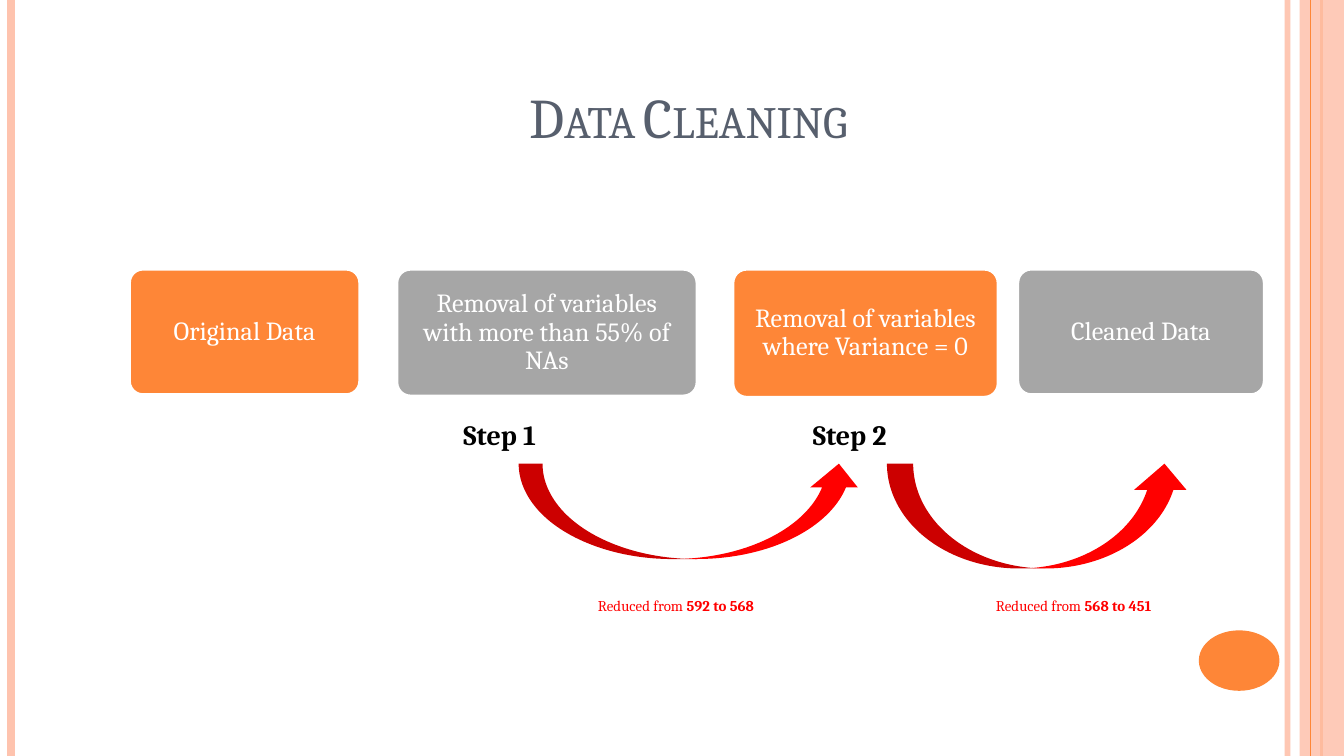
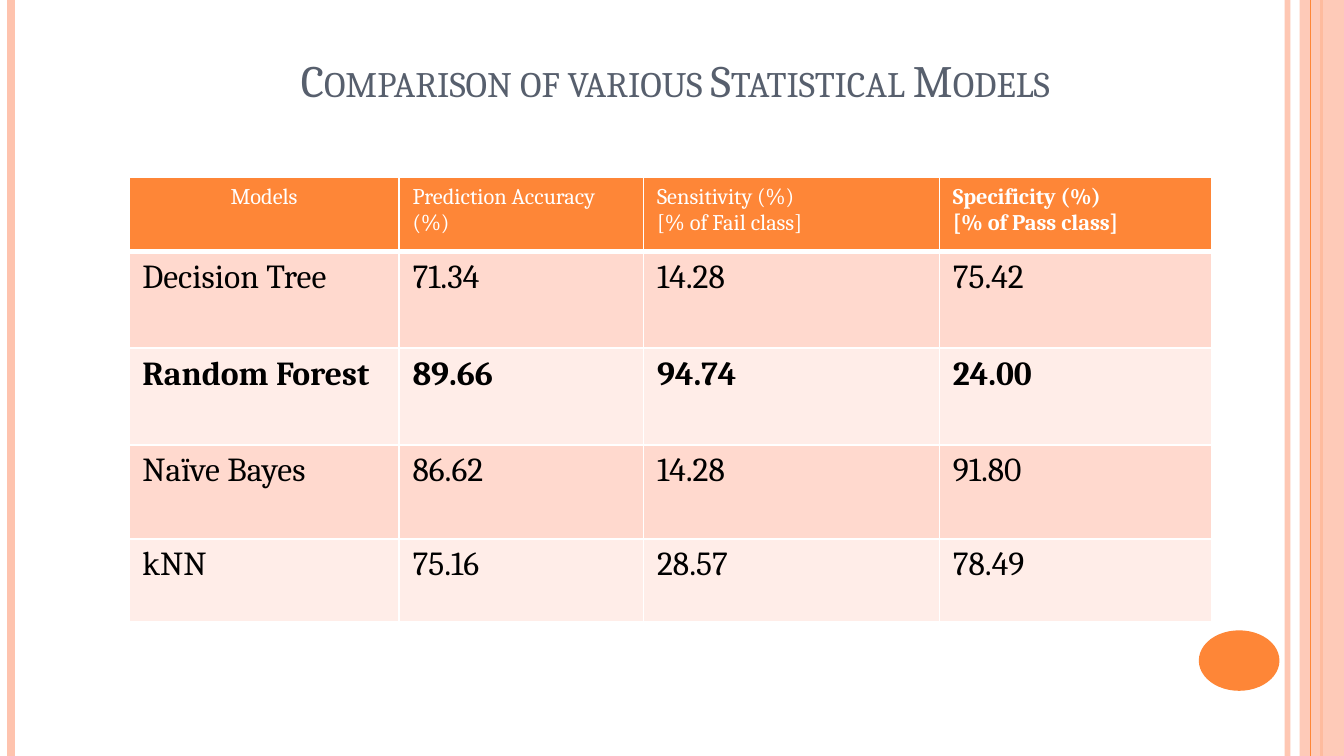
import pptx
import pptx.dml.color
import pptx.enum.shapes
import pptx.enum.text
import pptx.oxml
import pptx.oxml.ns
import pptx.util
from pptx.util import Inches

ORANGE, PEACH, GREY, SLATE = "FE8637", "FEC3AE", "A6A6A6", "575F6D"
WHITE, BLACK, RED = "FFFFFF", "000000", "FF0000"
ROW_FILLS = ("FFD9CE", "FFEDE8")
FONT = "Cambria"
WIDTH, HEIGHT = 10, 5.625
SHAPE = pptx.enum.shapes.MSO_SHAPE
ALIGN = pptx.enum.text.PP_ALIGN
ANCHOR = pptx.enum.text.MSO_ANCHOR


def rgb(value):
    return pptx.dml.color.RGBColor.from_string(value)


def element(tag, **attributes):
    node = pptx.oxml.parse_xml(f"<a:{tag} {pptx.oxml.ns.nsdecls('a')}/>")
    for name, value in attributes.items():
        node.set(name, str(value))
    return node


def set_opacity(holder, percent):
    color = next(holder.iter(pptx.oxml.ns.qn("a:srgbClr")))
    color.append(element("alpha", val=percent * 1000))


def write(frame, text, size=12, color=BLACK, bold=False, align=ALIGN.LEFT,
          spacing=None, small_caps=False):
    """Fill a frame; each line is a string or a list of (text, changes) spans."""
    frame.word_wrap = True
    lines = text if isinstance(text, list) else [text]
    for index, line in enumerate(lines):
        para = frame.paragraphs[0] if index == 0 else frame.add_paragraph()
        para.alignment = align
        if spacing:
            para.line_spacing = spacing
        for words, changes in ([(line, {})] if isinstance(line, str) else line):
            span = para.add_run()
            span.text = words
            span.font.name = FONT
            span.font.size = pptx.util.Pt(changes.get("size", size))
            span.font.bold = changes.get("bold", bold)
            span.font.color.rgb = rgb(color)
            if small_caps:
                span.font._element.set("cap", "small")


def add_text(page, box, text, anchor=ANCHOR.TOP, **style):
    frame = page.shapes.add_textbox(*map(Inches, box)).text_frame
    frame.vertical_anchor = anchor
    write(frame, text, **style)


def add_shape(page, kind, box, fill, outline=None):
    shape = page.shapes.add_shape(kind, *map(Inches, box))
    shape.shadow.inherit = False
    shape.fill.solid()
    shape.fill.fore_color.rgb = rgb(fill)
    if outline:
        shape.line.color.rgb = rgb(outline)
        shape.line.width = pptx.util.Pt(2)
    else:
        shape.line.fill.background()
    return shape


def add_rule(page, x, color, width, opacity=100):
    rule = page.shapes.add_connector(
        pptx.enum.shapes.MSO_CONNECTOR.STRAIGHT,
        Inches(x), 0, Inches(x), Inches(HEIGHT))
    rule.line.color.rgb = rgb(color)
    rule.line.width = pptx.util.Pt(width)
    properties = rule._element.spPr
    if opacity < 100:
        set_opacity(properties, opacity)
    properties.append(element("effectLst"))


def add_page(deck, title, title_box, title_size):
    """Start a page with the shared edge bands, page dot and title."""
    page = deck.slides.add_slide(deck.slide_layouts[6])
    add_rule(page, 9.58, PEACH, 3, opacity=93)
    add_rule(page, 0.08, PEACH, 4.5)
    add_rule(page, 9.83, ORANGE, 1.5)
    band = add_shape(page, SHAPE.RECTANGLE, (9.67, 0, WIDTH - 9.67, HEIGHT), PEACH)
    set_opacity(band._element.spPr, 87)
    add_rule(page, 9.75, ORANGE, 0.75)
    add_shape(page, SHAPE.OVAL, (8.92, 4.69, 0.6, 0.45), ORANGE)
    add_text(page, title_box, title, anchor=ANCHOR.BOTTOM, size=title_size,
             color=SLATE, align=ALIGN.CENTER, small_caps=True)
    return page


def add_stage(page, box, text, fill):
    stage = add_shape(page, SHAPE.ROUNDED_RECTANGLE, box, fill, outline=WHITE)
    stage.adjustments[0] = 0.11
    frame = stage.text_frame
    frame.vertical_anchor = ANCHOR.MIDDLE
    frame.margin_left = frame.margin_right = Inches(0.11)
    frame.margin_top = frame.margin_bottom = Inches(0.11)
    write(frame, text, size=14, color=WHITE, align=ALIGN.CENTER, spacing=0.9)


def add_step(page, label, label_box, arrow_box, note_box, change):
    """A step label, its curved arrow and the reduction it brings."""
    add_text(page, label_box, label, size=15, bold=True)
    add_shape(page, SHAPE.CURVED_UP_ARROW, arrow_box, RED)
    add_text(page, note_box, [[("Reduced from ", {}), (change, {"bold": True})]],
             size=8, color=RED, align=ALIGN.CENTER, spacing=2.0)


def add_border(cell, sides):
    """Draw white borders, given as side tag and width in points."""
    properties = cell._tc.get_or_add_tcPr()
    for index, (side, width) in enumerate(sides.items()):
        line = element(side, w=pptx.util.Pt(width))
        fill = element("solidFill")
        fill.append(element("srgbClr", val=WHITE))
        line.append(fill)
        properties.insert(index, line)


def add_model_table(page, box, widths, heights, header, rows, bold_row):
    table = page.shapes.add_table(len(heights), len(widths),
                                  *map(Inches, box)).table
    for column, width in zip(table.columns, widths):
        column.width = Inches(width)
    for row, height in zip(table.rows, heights):
        row.height = Inches(height)
    for r, values in enumerate([header] + rows):
        for c, value in enumerate(values):
            cell = table.cell(r, c)
            cell.fill.solid()
            if r == 0:
                fill = ORANGE
                style = {"size": 12, "color": WHITE, "bold": c == 3,
                         "align": ALIGN.CENTER if c == 0 else ALIGN.LEFT}
            else:
                fill = ROW_FILLS[(r - 1) % 2]
                style = {"size": 18, "bold": values[0] == bold_row}
            cell.fill.fore_color.rgb = rgb(fill)
            write(cell.text_frame, value, **style)
            add_border(cell, {"lnL": 1, "lnR": 1, "lnT": 3 if r == 1 else 1,
                              "lnB": 3 if r == 0 else 1})


def build_cleaning_page(deck):
    title = [[("Data", {}), (" ", {"size": 24}), ("Cleaning", {})]]
    page = add_page(deck, title, (0.83, 0.37, 8.58, 0.79), 30)
    # Steps between the stages
    add_step(page, "Step 1", (3.35, 3.06, 1.02, 0.35), (3.86, 3.45, 2.56, 0.71),
             (3.77, 4.26, 2.52, 0.33), "592 to 568")
    add_step(page, "Step 2", (5.95, 3.06, 1.26, 0.35), (6.6, 3.45, 2.26, 0.78),
             (6.73, 4.26, 2.52, 0.33), "568 to 451")
    # Stages, in alternating colours
    stages = [
        (0.96, 1.72, 0.94, "Original Data"),
        (2.95, 2.24, 0.95, "Removal of variables with more than 55% of NAs"),
        (5.45, 1.98, 0.96, "Removal of variables where Variance = 0"),
        (7.57, 1.84, 0.94, "Cleaned Data"),
    ]
    for index, (left, width, height, text) in enumerate(stages):
        add_stage(page, (left, 2, width, height), text, (ORANGE, GREY)[index % 2])


def build_comparison_page(deck):
    page = add_page(deck, "Comparison of various Statistical Models",
                    (0.67, 0.29, 8.71, 0.55), 24)
    add_model_table(
        page, (0.96, 1.32, 8.05, 3.31),
        widths=(2.01, 1.82, 2.2, 2.03),
        heights=(0.55, 0.72, 0.72, 0.7, 0.62),
        header=["Models", "Prediction Accuracy (%)",
                ["Sensitivity (%) ", "[% of Fail class]"],
                ["Specificity (%)", "[% of Pass class]"]],
        rows=[["Decision Tree", "71.34", "14.28", "75.42"],
              ["Random Forest", "89.66", "94.74", "24.00"],
              ["Naïve Bayes", "86.62", "14.28", "91.80"],
              ["kNN", "75.16", "28.57", "78.49"]],
        bold_row="Random Forest")


deck = pptx.Presentation()
deck.slide_width, deck.slide_height = Inches(WIDTH), Inches(HEIGHT)
build_cleaning_page(deck)
build_comparison_page(deck)
deck.save("out.pptx")
